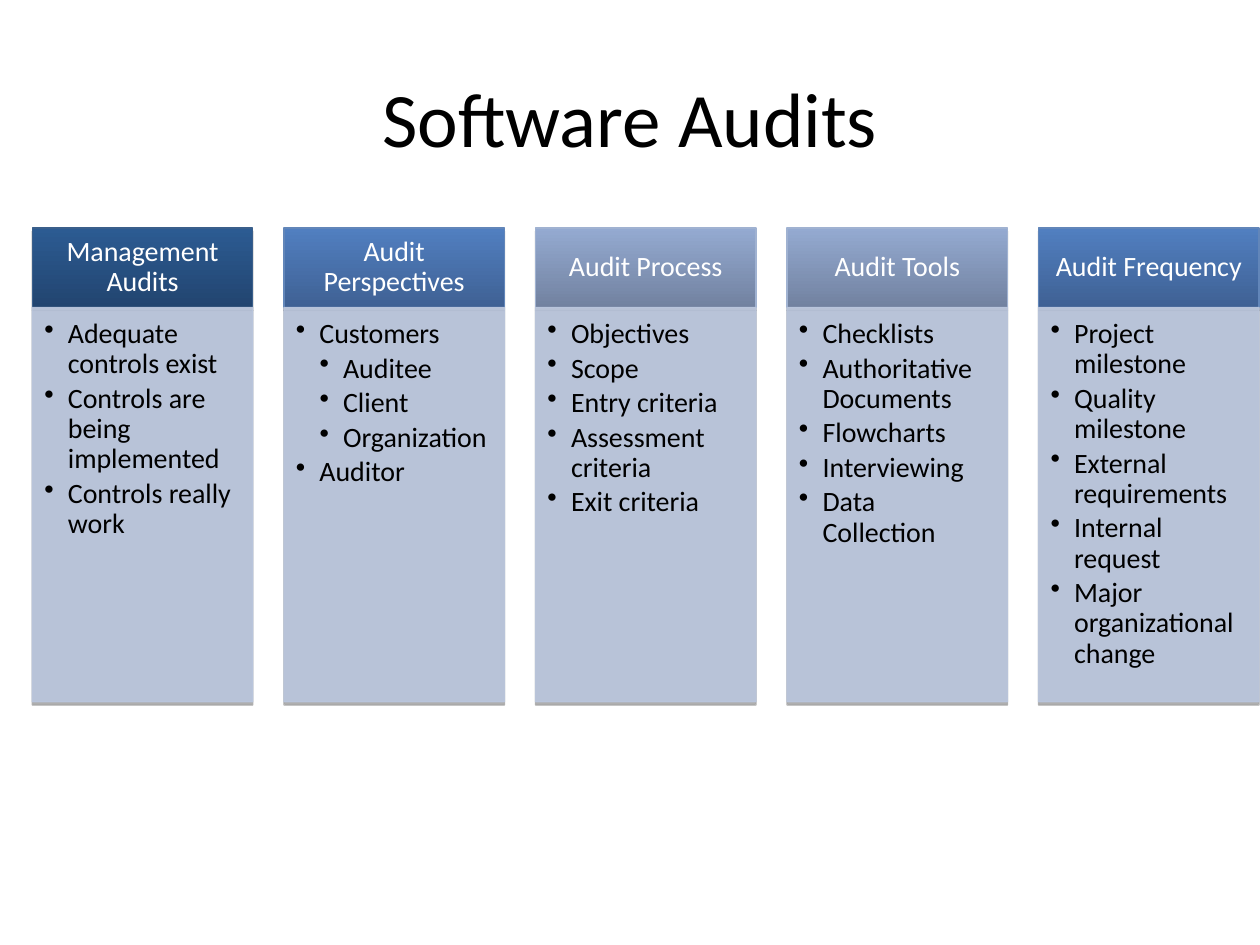
from dataclasses import dataclass

from lxml import etree
from pptx import Presentation
from pptx.dml.color import RGBColor
from pptx.enum.shapes import MSO_SHAPE
from pptx.enum.text import MSO_ANCHOR as Anchor, PP_ALIGN as Align
from pptx.oxml.ns import qn
from pptx.util import Pt


@dataclass(frozen=True)
class Theme:
    font: str = "Calibri"
    title_size: float = 44
    text_size: float = 16
    ink: str = "000000"
    white: str = "FFFFFF"
    panel: str = "BAC6DD"
    # Header styles: gradient top, gradient bottom, outline
    dark: tuple = ("2C5B92", "224570", "3A5F8B")
    medium: tuple = ("517FC0", "3F6194", "6286B9")
    light: tuple = ("94AAD1", "7282A0", "A0B2D1")


THEME = Theme()

COLUMNS = [
    ("Management Audits", THEME.dark,
     [(1, "Adequate controls exist"), (1, "Controls are being implemented"),
      (1, "Controls really work")]),
    ("Audit Perspectives", THEME.medium,
     [(1, "Customers"), (2, "Auditee"), (2, "Client"), (2, "Organization"),
      (1, "Auditor")]),
    ("Audit Process", THEME.light,
     [(1, "Objectives"), (1, "Scope"), (1, "Entry criteria"),
      (1, "Assessment criteria"), (1, "Exit criteria")]),
    ("Audit Tools", THEME.light,
     [(1, "Checklists"), (1, "Authoritative Documents"), (1, "Flowcharts"),
      (1, "Interviewing"), (1, "Data Collection")]),
    ("Audit Frequency", THEME.medium,
     [(1, "Project milestone"), (1, "Quality milestone"),
      (1, "External requirements"), (1, "Internal request"),
      (1, "Major organizational change")]),
]


def rgb(value):
    return RGBColor.from_string(value)


def add_sub(parent, tag, **attrs):
    return etree.SubElement(parent, qn(tag), {k: str(v) for k, v in attrs.items()})


def set_bullet(p, level):
    """Hang a round bullet at the indent of the given level."""
    p.level = level
    pPr = p._p.get_or_add_pPr()
    pPr.set("marL", str(Pt(13.5 * level)))
    pPr.set("indent", str(Pt(-13.5)))
    add_sub(add_sub(pPr, "a:buClr"), "a:srgbClr", val=THEME.ink)
    add_sub(pPr, "a:buChar", char="•")


def put_text(shape, items, size=THEME.text_size, color=THEME.ink, align=Align.LEFT,
             anchor=Anchor.TOP, insets=(7.2, 3.6, 7.2, 3.6), spacing=None, after=0):
    """Fill a shape with (level, text) items; level 0 has no bullet."""
    tf = shape.text_frame
    tf.word_wrap = True
    tf.vertical_anchor = anchor
    tf.margin_left, tf.margin_top, tf.margin_right, tf.margin_bottom = map(Pt, insets)
    for i, (level, text) in enumerate(items):
        p = tf.add_paragraph() if i else tf.paragraphs[0]
        if level:
            set_bullet(p, level)
        p.alignment = align
        p.line_spacing = spacing
        p.space_after = Pt(after)
        r = p.add_run()
        r.text = text
        r.font.name = THEME.font
        r.font.size = Pt(size)
        r.font.color.rgb = rgb(color)


def add_panel(s, box, line):
    """Add an outlined rectangle with a thin shadow below it."""
    sp = s.shapes.add_shape(MSO_SHAPE.RECTANGLE, *map(Pt, box))
    sp.line.color.rgb = rgb(line)
    sp.line.width = Pt(0.75)
    sp.shadow.inherit = False
    effects = sp._element.spPr.find(qn("a:effectLst"))
    shadow = add_sub(effects, "a:outerShdw", blurRad=0, dist=Pt(1.8), dir=5400000,
                     rotWithShape=0)
    add_sub(add_sub(shadow, "a:srgbClr", val=THEME.ink), "a:alpha", val=35000)
    return sp


def add_title(s, box, text):
    tb = s.shapes.add_textbox(*map(Pt, box))
    put_text(tb, [(0, text)], size=THEME.title_size, align=Align.CENTER,
             anchor=Anchor.MIDDLE)


def add_header(s, box, text, style):
    top, bottom, line = style
    sp = add_panel(s, box, line)
    sp.fill.gradient()
    sp.fill.gradient_angle = 270
    for stop, color in zip(sp.fill.gradient_stops, (top, bottom)):
        stop.color.rgb = rgb(color)
    put_text(sp, [(0, text)], color=THEME.white, align=Align.CENTER,
             anchor=Anchor.MIDDLE, insets=(9, 5.1, 9, 5.1), spacing=0.9, after=5.6)


def add_body(s, box, items):
    sp = add_panel(s, box, THEME.panel)
    sp.fill.solid()
    sp.fill.fore_color.rgb = rgb(THEME.panel)
    for color in sp._element.spPr.iter(qn("a:srgbClr")):
        if color.get("val") == THEME.panel:
            add_sub(color, "a:alpha", val=90000)
    put_text(sp, items, insets=(6.8, 6.8, 9, 10.2), spacing=0.9, after=2.5)


def add_columns(s, box, columns, gap=17.75, header_height=45.4):
    left, top, width, height = box
    col_width = (width - gap * (len(columns) - 1)) / len(columns)
    for i, (heading, style, items) in enumerate(columns):
        x = left + i * (col_width + gap)
        add_header(s, (x, top, col_width, header_height), heading, style)
        add_body(s, (x, top + header_height, col_width, height - header_height), items)


def main():
    prs = Presentation()
    prs.slide_width, prs.slide_height = Pt(720), Pt(540)
    s = prs.slides.add_slide(prs.slide_layouts[6])
    add_title(s, (36, 21.6, 648, 90), "Software Audits")
    add_columns(s, (18.5, 130.3, 701, 270.8), COLUMNS)
    prs.save("out.pptx")


if __name__ == "__main__":
    main()
